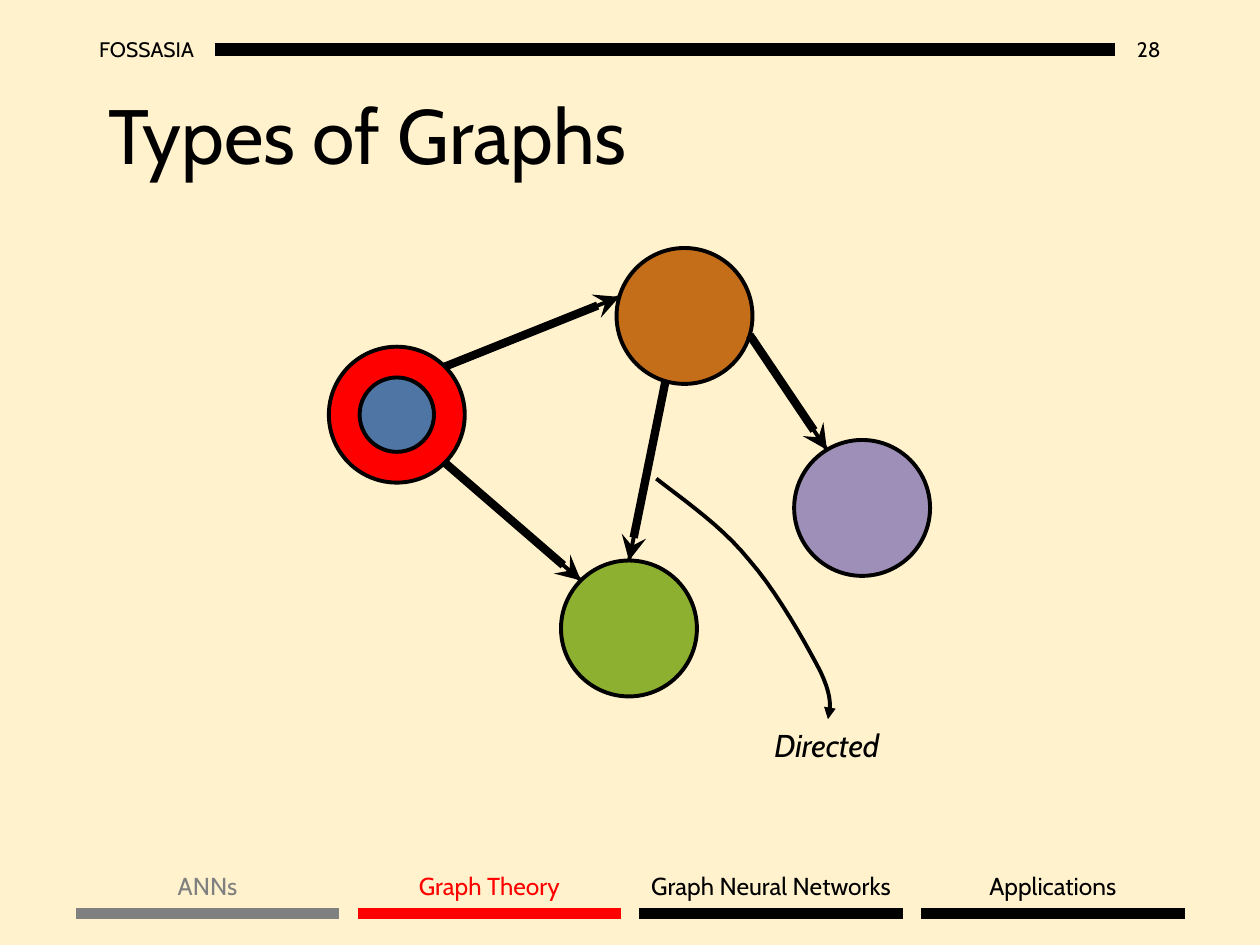
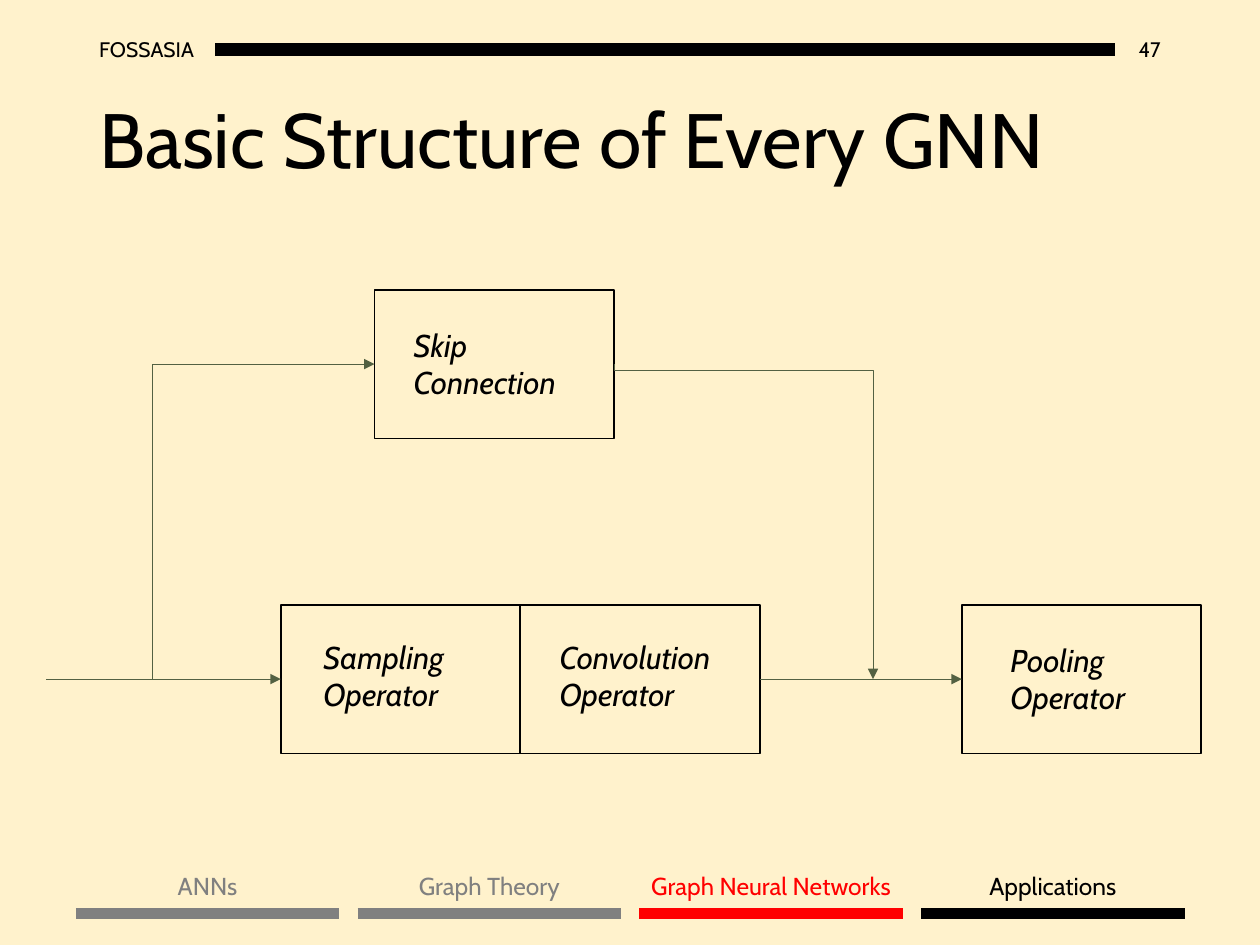
from math import cos, radians, sin

from lxml.etree import SubElement
from pptx import Presentation
from pptx.dml.color import RGBColor
from pptx.enum.shapes import MSO_CONNECTOR, MSO_SHAPE
from pptx.enum.text import MSO_ANCHOR, PP_ALIGN
from pptx.oxml.ns import qn
from pptx.util import Cm, Pt

BLACK, RED, GREY, CREAM, OLIVE = "000000", "FF0000", "808080", "FFF2CC", "536142"
SECTIONS = ["ANNs", "Graph Theory", "Graph Neural Networks", "Applications"]


def color(hex_value):
    return RGBColor.from_string(hex_value)


class Deck:
    """Shared style plus the slide being filled; all lengths are centimetres."""

    font = "Cabin"

    def __init__(self):
        self.prs = Presentation()
        self.prs.slide_width, self.prs.slide_height = Cm(25.4), Cm(19.05)

    def new_slide(self, title, title_at, number, section):
        self.slide = self.prs.slides.add_slide(self.prs.slide_layouts[6])
        background = self.slide.background.fill
        background.solid()
        background.fore_color.rgb = color(CREAM)
        # Header band
        self.text(["FOSSASIA"], 1.75, 0.48, 2.59, 1.02, 12, anchor=MSO_ANCHOR.MIDDLE)
        self.text([str(number)], 22.48, 0.48, 1.17, 1.02, 12,
                  align=PP_ALIGN.RIGHT, anchor=MSO_ANCHOR.MIDDLE)
        self.line((4.34, 1), (22.48, 1), 7)
        self.text([title], *title_at, 21.89, 3.68, 44, anchor=MSO_ANCHOR.MIDDLE, spacing=0.9)
        # Progress footer: past sections grey, current one red; labels span the full pitch
        width, pitch = 5.31, 5.68
        for i, name in enumerate(SECTIONS):
            left = 1.53 + i * pitch
            shade = GREY if i < section else RED if i == section else BLACK
            self.text([name], left - (pitch - width) / 2, 17.43, pitch, 0.86, 14, shade,
                      align=PP_ALIGN.CENTER, wrap=False)
            self.line((left, 18.42), (left + width, 18.42), 6, shade)

    def text(self, lines, left, top, width, height, size, shade=BLACK, italic=False,
             align=PP_ALIGN.LEFT, anchor=MSO_ANCHOR.TOP, wrap=True, spacing=None):
        frame = self.slide.shapes.add_textbox(Cm(left), Cm(top), Cm(width), Cm(height)).text_frame
        frame.word_wrap, frame.vertical_anchor = wrap, anchor
        for i, line in enumerate(lines):
            paragraph = frame.add_paragraph() if i else frame.paragraphs[0]
            paragraph.alignment, paragraph.line_spacing = align, spacing
            run = paragraph.add_run()
            run.text = line
            run.font.name, run.font.size, run.font.italic = self.font, Pt(size), italic
            run.font.color.rgb = color(shade)

    def stroke(self, item, weight, shade=BLACK, arrow=None):
        item.line.color.rgb = color(shade)
        item.line.width = Pt(weight)
        if arrow:
            SubElement(item.line._get_or_add_ln(), qn("a:tailEnd"), type=arrow)

    def shape(self, preset, left, top, width, height, weight, fill=None):
        shape = self.slide.shapes.add_shape(preset, Cm(left), Cm(top), Cm(width), Cm(height))
        shape.shadow.inherit = False
        if fill:
            shape.fill.solid()
            shape.fill.fore_color.rgb = color(fill)
        else:
            shape.fill.background()
        self.stroke(shape, weight)
        return shape

    def circle(self, center, diameter, fill):
        x, y = center
        self.shape(MSO_SHAPE.OVAL, x - diameter / 2, y - diameter / 2,
                   diameter, diameter, 2.25, fill)

    def line(self, start, end, weight, shade=BLACK, arrow=None, kind=MSO_CONNECTOR.STRAIGHT):
        connector = self.slide.shapes.add_connector(kind, *map(Cm, start + end))
        self.stroke(connector, weight, shade, arrow)
        SubElement(connector.element.spPr, qn("a:effectLst"))
        return connector

    def elbow(self, start, end, preset, turn, flips, bend=None):
        """Bent arrow drawn in a frame that is turned a quarter about its centre."""
        (x1, y1), (x2, y2) = start, end
        mid_x, mid_y = (x1 + x2) / 2, (y1 + y2) / 2
        half_w, half_h = abs(y2 - y1) / 2, abs(x2 - x1) / 2
        connector = self.line((mid_x - half_w, mid_y - half_h), (mid_x + half_w, mid_y + half_h),
                              0.5, OLIVE, "triangle", MSO_CONNECTOR.ELBOW)
        properties = connector.element.spPr
        frame = properties.find(qn("a:xfrm"))
        frame.set("rot", str(turn * 60000))
        for flip in flips:
            frame.set(flip, "1")
        geometry = properties.find(qn("a:prstGeom"))
        geometry.set("prst", preset)
        if bend is not None:
            SubElement(geometry.find(qn("a:avLst")), qn("a:gd"),
                       name="adj1", fmla=f"val {round(bend * 100000)}")

    def curve(self, start, segments, weight, arrow, steps=10):
        """Open curve through cubic segments, each (control, control, end)."""
        points, origin = [], start
        for segment in segments:
            corners = (origin, *segment)
            for step in range(1, steps + 1):
                t = step / steps
                weights = ((1 - t) ** 3, 3 * t * (1 - t) ** 2, 3 * t * t * (1 - t), t ** 3)
                points.append(tuple(Cm(sum(w * corner[axis] for w, corner in zip(weights, corners)))
                                    for axis in (0, 1)))
            origin = segment[-1]
        builder = self.slide.shapes.build_freeform(*map(Cm, start))
        builder.add_line_segments(points, close=False)
        curve = builder.convert_to_shape()
        curve.shadow.inherit = False
        curve.fill.background()
        self.stroke(curve, weight, BLACK, arrow)


def graph_types(deck):
    deck.new_slide("Types of Graphs", (1.93, 0.97), 28, section=1)
    diameter = 2.74
    nodes = {
        "green": ((12.68, 12.67), "8EB031"),
        "purple": ((17.38, 10.24), "9D8FB7"),
        "red": ((8, 8.36), RED),
        "orange": ((13.8, 6.37), "C46E1A"),
    }
    for center, fill in nodes.values():
        deck.circle(center, diameter, fill)

    def rim(node, degrees):
        (x, y), _ = nodes[node]
        angle = radians(degrees)
        return x + diameter / 2 * cos(angle), y + diameter / 2 * sin(angle)

    # Directed edges: node and clockwise angle on its rim, at both ends
    for source, leave, target, arrive in [
        ("orange", 106.3, "green", 270),
        ("red", 45, "green", 225),
        ("red", -45, "orange", 196.3),
        ("orange", 16.3, "purple", 238.8),
    ]:
        # A thin core carries the thick shaft through to the arrow tip
        for weight, arrow in [(2.25, None), (4.75, "stealth")]:
            deck.line(rim(source, leave), rim(target, arrive), weight, arrow=arrow)
    deck.circle(nodes["red"][0], 1.5, "4E75A3")

    # Callout to one edge
    deck.curve((13.23, 9.65), [
        ((13.89, 10.16), (14.58, 10.64), (15.11, 11.3)),
        ((15.67, 11.94), (16.26, 13), (16.54, 13.54)),
        ((16.79, 14.07), (16.74, 14.3), (16.69, 14.5)),
    ], 2.25, "triangle")
    deck.text(["Directed"], 15.36, 14.52, 2.74, 1.02, 18, italic=True, wrap=False)


def gnn_structure(deck):
    deck.new_slide("Basic Structure of Every GNN", (1.75, 1.06), 47, section=2)
    width, height, row = 4.83, 3, 12.19
    flow = row + height / 2
    skip_left, skip_top = 7.55, 5.84
    skip_middle = skip_top + height / 2

    # Operator boxes
    sampling, convolution, pooling, _ = [
        deck.shape(MSO_SHAPE.RECTANGLE, left, top, width, height, 1)
        for left, top in [(5.66, row), (5.66 + width, row), (19.39, row), (skip_left, skip_top)]
    ]

    # Main flow
    entry = deck.line((0.93, flow), (5.66, flow), 0.5, OLIVE, "triangle")
    entry.end_connect(sampling, 1)
    output = deck.line((15.32, flow), (19.39, flow), 0.5, OLIVE, "triangle")
    output.begin_connect(convolution, 3)
    output.end_connect(pooling, 1)

    # Bypass through the skip connection
    deck.elbow((3.07, flow), (skip_left, skip_middle), "bentConnector2", 90, ("flipH", "flipV"))
    deck.elbow((skip_left + width, skip_middle), (17.6, flow), "bentConnector3", 270,
               ("flipH",), bend=0.02)

    for lines, left, top in [
        (["Sampling", "Operator"], 6.27, 12.73),
        (["Convolution", "Operator"], 11.03, 12.73),
        (["Skip Connection"], 8.09, 6.44),
        (["Pooling Operator"], 20.12, 12.79),
    ]:
        deck.text(lines, left, top, 3.74, 1.8, 18, italic=True)


def main():
    deck = Deck()
    graph_types(deck)
    gnn_structure(deck)
    deck.prs.save("out.pptx")


if __name__ == "__main__":
    main()
